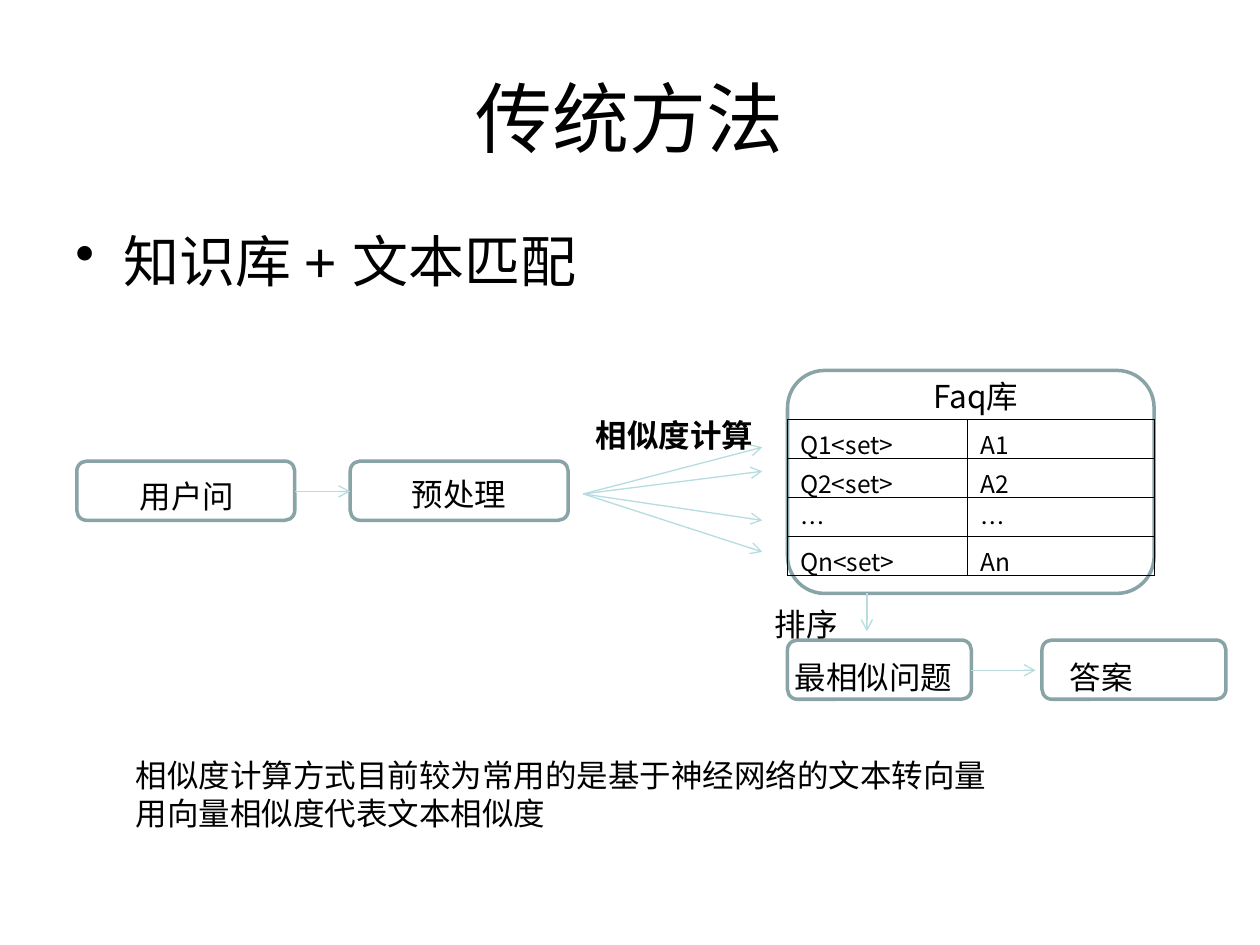
from lxml.etree import SubElement
from pptx import Presentation
from pptx.dml.color import RGBColor
from pptx.enum.shapes import MSO_CONNECTOR, MSO_SHAPE
from pptx.enum.text import MSO_ANCHOR, PP_ALIGN
from pptx.oxml.ns import qn
from pptx.util import Inches, Pt

WIDTH, HEIGHT = Inches(10), Inches(7.5)
BLACK = RGBColor(0x00, 0x00, 0x00)
WHITE = RGBColor(0xFF, 0xFF, 0xFF)
OUTLINE = RGBColor(0x89, 0xA4, 0xA7)
ARROW = RGBColor(0xB6, 0xDC, 0xDF)
SANS, HEADING = "Noto Sans CJK SC", "Arial"

# Shares of the slide in percent
STEP_HEIGHT = 6.27
LABEL_HEIGHT = 5.33
FAQ_LEFT, FAQ_TOP, FAQ_WIDTH, FAQ_HEIGHT = 62.5, 39.2, 29.1, 23.6
FAQ_ROWS = [("Q1<set>", "A1"), ("Q2<set>", "A2"), ("…", "…"), ("Qn<set>", "An")]


def across(share):
    return int(WIDTH * share / 100)


def down(share):
    return int(HEIGHT * share / 100)


def area(left, top, width, height):
    return across(left), down(top), across(width), down(height)


def style(paragraph, size, name=SANS, bold=False):
    font = paragraph.font
    font.size, font.name, font.bold = Pt(size), name, bold
    font.color.rgb = BLACK


def add_text(slide, place, lines, size=18, name=SANS, bold=False):
    frame = slide.shapes.add_textbox(*area(*place)).text_frame
    frame.word_wrap = True
    frame.text = lines
    for paragraph in frame.paragraphs:
        style(paragraph, size, name, bold)
    return frame


def add_box(slide, place):
    shape = slide.shapes.add_shape(MSO_SHAPE.ROUNDED_RECTANGLE, *area(*place))
    shape.shadow.inherit = False
    shape.fill.solid()
    shape.fill.fore_color.rgb = WHITE
    shape.line.color.rgb = OUTLINE
    shape.line.width = Pt(2)


def add_step(slide, left, top, width, label, label_place):
    add_box(slide, (left, top, width, STEP_HEIGHT))
    return add_text(slide, (*label_place, LABEL_HEIGHT), label)


def add_arrow(slide, start, end):
    connector = slide.shapes.add_connector(
        MSO_CONNECTOR.STRAIGHT,
        across(start[0]), down(start[1]), across(end[0]), down(end[1]))
    connector.line.color.rgb = ARROW
    connector.line.width = Pt(0.75)
    SubElement(connector.line._get_or_add_ln(), qn("a:tailEnd"), type="arrow")
    SubElement(connector._element.spPr, qn("a:effectLst"))


def add_cell_borders(cell):
    properties = cell._tc.get_or_add_tcPr()
    for index, side in enumerate(("a:lnL", "a:lnR", "a:lnT", "a:lnB")):
        line = properties.makeelement(qn(side), {"w": str(Pt(0.45))})
        fill = SubElement(line, qn("a:solidFill"))
        SubElement(fill, qn("a:srgbClr"), val=str(BLACK))
        properties.insert(index, line)


def add_faq_table(slide):
    row_height = 4.13
    place = area(FAQ_LEFT, 44.4, FAQ_WIDTH, row_height * len(FAQ_ROWS))
    table = slide.shapes.add_table(len(FAQ_ROWS), 2, *place).table
    table.first_row = table.horz_banding = False
    for column, share in zip(table.columns, (14.3, 14.8)):
        column.width = across(share)
    for row, texts in zip(table.rows, FAQ_ROWS):
        row.height = down(row_height)
        for cell, text in zip(row.cells, texts):
            cell.text = text
            cell.margin_bottom = 0
            cell.fill.background()
            style(cell.text_frame.paragraphs[0], 14)
            add_cell_borders(cell)


def add_headings(slide):
    title = add_text(slide, (5, 4, 90, 16.67), "传统方法", 44, HEADING)
    title.vertical_anchor = MSO_ANCHOR.MIDDLE
    title.paragraphs[0].alignment = PP_ALIGN.CENTER

    body = add_text(slide, (5, 23.33, 90, 66), "知识库 + 文本匹配", 32, HEADING)
    paragraph = body.paragraphs[0]
    paragraph.space_before = Pt(8)
    properties = paragraph._p.get_or_add_pPr()
    indent = Inches(0.38)
    properties.set("marL", str(indent))
    properties.set("indent", str(-indent))
    bullet = properties.makeelement(qn("a:buChar"), {"char": "•"})
    properties.find(qn("a:defRPr")).addprevious(bullet)


def main():
    presentation = Presentation()
    presentation.slide_width, presentation.slide_height = WIDTH, HEIGHT
    slide = presentation.slides.add_slide(presentation.slide_layouts[6])
    add_headings(slide)

    # Question and preprocessing
    add_step(slide, 27.8, 48.8, 17.3, "预处理", (31.7, 49.6, 13.4))
    add_step(slide, 6.1, 48.8, 17.3, "用户问", (10.1, 49.87, 13.4))
    add_arrow(slide, (23.4, 52), (27.8, 52))

    # FAQ store
    add_box(slide, (FAQ_LEFT, FAQ_TOP, FAQ_WIDTH, FAQ_HEIGHT))
    add_faq_table(slide)
    add_text(slide, (73.1, FAQ_TOP, 13.4, LABEL_HEIGHT), "Faq库")

    # Similarity fan towards the table rows
    for target in (47.33, 49.87, 58.4, 55.07):
        add_arrow(slide, (46.3, 52.27), (60.5, target))
    add_text(slide, (46.3, 43.33, 16.2, LABEL_HEIGHT), "相似度计算", bold=True)

    # Ranking and answer
    add_arrow(slide, (68.8, FAQ_TOP + FAQ_HEIGHT), (68.8, 66.8))
    add_step(slide, FAQ_LEFT, 67.73, 14.6, "最相似问题", (62.1, 68.93, 15))
    add_text(slide, (60.5, 63.33, 8.3, LABEL_HEIGHT), "排序")
    add_arrow(slide, (77.1, 70.93), (82.2, 70.93))
    answer = add_step(slide, 82.7, 67.73, 14.6, "答案", (82.3, 68.93, 15))
    answer.margin_left = Inches(0.26)

    # Closing remark
    remark = "相似度计算方式目前较为常用的是基于神经网络的文本转向量\n用向量相似度代表文本相似度"
    add_text(slide, (9.8, 79.33, 82.3, 9.33), remark, name=HEADING)

    presentation.save("out.pptx")


if __name__ == "__main__":
    main()
